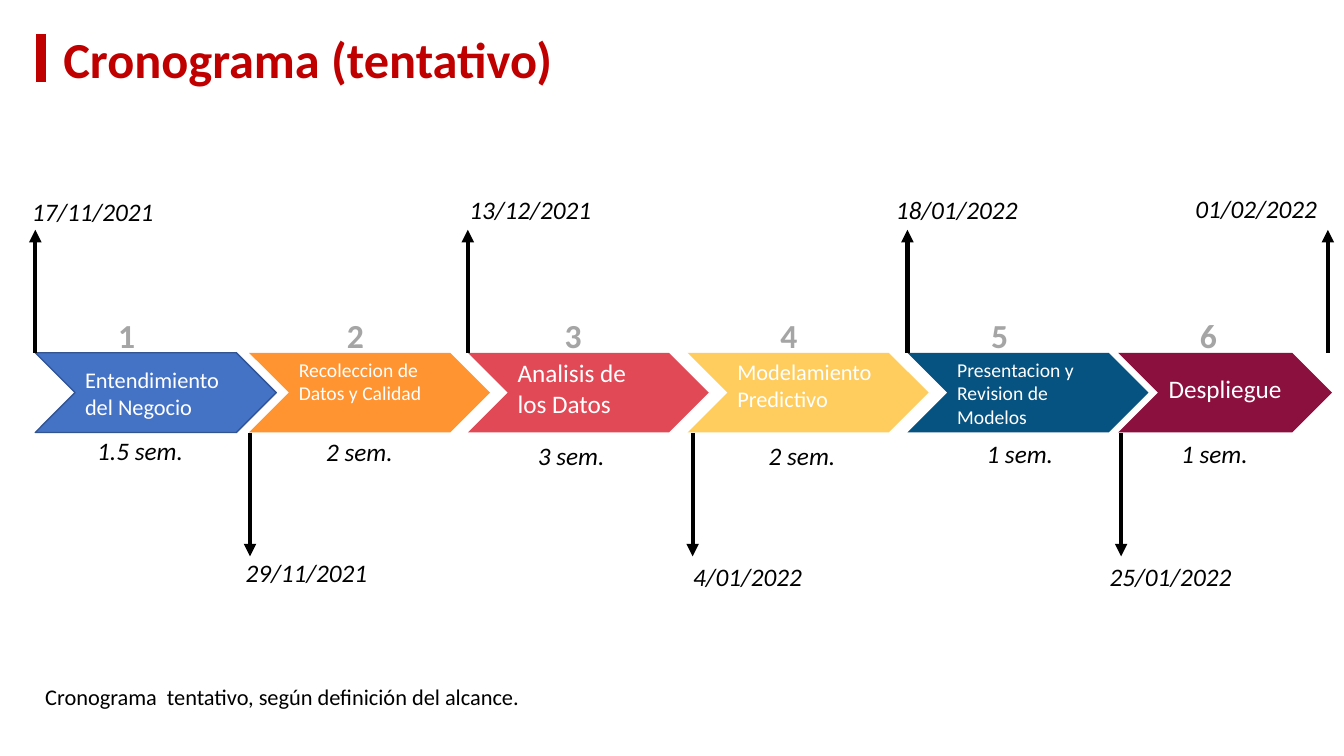
from lxml.etree import SubElement
from pptx import Presentation
from pptx.dml.color import RGBColor
from pptx.enum.shapes import MSO_CONNECTOR, MSO_SHAPE
from pptx.enum.text import MSO_ANCHOR, PP_ALIGN
from pptx.oxml.ns import qn
from pptx.util import Inches, Pt

RED = RGBColor(0xC0, 0x00, 0x00)
WHITE = RGBColor(0xFF, 0xFF, 0xFF)
BLACK = RGBColor(0x00, 0x00, 0x00)
GRAY = RGBColor(0xA5, 0xA5, 0xA5)
BLUE = RGBColor(0x44, 0x72, 0xC4)
BLUE_EDGE = RGBColor(0x32, 0x54, 0x91)
ORANGE = RGBColor(0xFF, 0x94, 0x30)
CORAL = RGBColor(0xE2, 0x49, 0x56)
YELLOW = RGBColor(0xFF, 0xCC, 0x5E)
NAVY = RGBColor(0x06, 0x52, 0x80)
WINE = RGBColor(0x8C, 0x10, 0x3D)

FONT = "Calibri"
BAND_TOP, BAND_HEIGHT = 3.5, 0.79
BAND_BOTTOM = 4.3
ARROW_LENGTH = 1.22
LEFT, CENTER, JUSTIFY = PP_ALIGN.LEFT, PP_ALIGN.CENTER, PP_ALIGN.JUSTIFY
TOP, MIDDLE = MSO_ANCHOR.TOP, MSO_ANCHOR.MIDDLE

# Chevron: left, width, fill, edge, text, size, alignment, anchor, line spacing
STAGES = [
    (0.35, 2.39, BLUE, BLUE_EDGE, "Entendimiento del Negocio", 16, JUSTIFY, MIDDLE, 1),
    (2.47, 2.39, ORANGE, None, "Recoleccion de Datos y Calidad", 14, LEFT, TOP, 1),
    (4.64, 2.39, CORAL, None, "Analisis de los Datos", 18, LEFT, TOP, 1),
    (6.82, 2.39, YELLOW, None, "Modelamiento Predictivo", 16, JUSTIFY, TOP, 1),
    (9, 2.39, NAVY, None, "Presentacion y Revision de Modelos", 14, LEFT, TOP, 1),
    (11.09, 2.12, WINE, None, "Despliegue", 18, CENTER, TOP, 1.5),
]
NUMBER_LEFTS = [1, 3.27, 5.43, 7.57, 9.66, 11.73]

# Duration: left, top, width, text
DURATIONS = [
    (0.86, 4.27, 1.06, "1.5 sem."),
    (3.13, 4.28, 0.87, "2 sem."),
    (5.23, 4.32, 0.87, "3 sem."),
    (7.52, 4.32, 0.87, "2 sem."),
    (9.68, 4.3, 0.87, "1 sem."),
    (11.61, 4.3, 0.87, "1 sem."),
]

# Milestone: arrow position, points up, date left, date top, date width, date
MILESTONES = [
    (0.35, True, 0.21, 1.9, 1.42, "17/11/2021"),
    (2.48, False, 2.33, 5.48, 1.42, "29/11/2021"),
    (4.64, True, 4.55, 1.88, 1.42, "13/12/2021"),
    (6.87, False, 6.77, 5.52, 1.29, "4/01/2022"),
    (9, True, 8.78, 1.88, 1.42, "18/01/2022"),
    (11.12, False, 10.9, 5.52, 1.42, "25/01/2022"),
    (13.17, True, 11.75, 1.87, 1.42, "01/02/2022"),
]


def write_text(shape, text, size, color, alignment=LEFT, anchor=TOP,
               bold=False, italic=False, wrap=True, spacing=1):
    frame = shape.text_frame
    frame.word_wrap = wrap
    frame.vertical_anchor = anchor
    paragraph = frame.paragraphs[0]
    paragraph.text = text
    paragraph.alignment = alignment
    paragraph.line_spacing = spacing
    font = paragraph.font
    font.name, font.size = FONT, Pt(size)
    font.bold, font.italic = bold, italic
    font.color.rgb = color


def add_label(slide, left, top, width, height, text, size, color, **style):
    box = slide.shapes.add_textbox(
        Inches(left), Inches(top), Inches(width), Inches(height))
    write_text(box, text, size, color, **style)


def add_block(slide, kind, left, top, width, height, fill, edge=None):
    shape = slide.shapes.add_shape(
        kind, Inches(left), Inches(top), Inches(width), Inches(height))
    shape.shadow.inherit = False
    shape.fill.solid()
    shape.fill.fore_color.rgb = fill
    if edge is None:
        shape.line.fill.background()
    else:
        shape.line.color.rgb = edge
        shape.line.width = Pt(1)
    return shape


def add_arrow(slide, x, start, end):
    arrow = slide.shapes.add_connector(
        MSO_CONNECTOR.STRAIGHT, Inches(x), Inches(start), Inches(x), Inches(end))
    arrow.line.color.rgb = BLACK
    arrow.line.width = Pt(3)
    SubElement(arrow.line._get_or_add_ln(), qn("a:tailEnd"), type="triangle")
    SubElement(arrow._element.spPr, qn("a:effectLst"))


def add_milestone(slide, x, points_up, left, top, width, date):
    if points_up:
        add_arrow(slide, x, BAND_TOP, BAND_TOP - ARROW_LENGTH)
    else:
        add_arrow(slide, x, BAND_BOTTOM, BAND_BOTTOM + ARROW_LENGTH)
    add_label(slide, left, top, width, 0.4, date, 18, BLACK,
              alignment=CENTER, italic=True, wrap=False)


def main():
    presentation = Presentation()
    presentation.slide_width = Inches(13.33)
    presentation.slide_height = Inches(7.5)
    slide = presentation.slides.add_slide(presentation.slide_layouts[6])

    # Title with its red bar
    add_label(slide, 0.53, 0.22, 12.43, 0.71, "Cronograma (tentativo)", 36, RED,
              anchor=MIDDLE, bold=True)
    add_block(slide, MSO_SHAPE.RECTANGLE, 0.35, 0.33, 0.11, 0.49, RED, WHITE)

    # Chevron band
    for left, width, fill, edge, text, size, alignment, anchor, spacing in STAGES:
        chevron = add_block(slide, MSO_SHAPE.CHEVRON, left, BAND_TOP, width,
                            BAND_HEIGHT, fill, edge)
        write_text(chevron, text, size, WHITE, alignment, anchor, spacing=spacing)

    # Dates with arrows
    for milestone in MILESTONES:
        add_milestone(slide, *milestone)

    # Stage numbers above the band
    for number, left in enumerate(NUMBER_LEFTS, start=1):
        add_label(slide, left, 3.08, 0.51, 0.5, str(number), 24, GRAY,
                  alignment=CENTER, bold=True)

    # Durations below the band
    for left, top, width, duration in DURATIONS:
        add_label(slide, left, top, width, 0.4, duration, 18, BLACK,
                  alignment=CENTER, italic=True, wrap=False)

    # Footnote
    add_label(slide, 0.35, 6.73, 5.75, 0.37,
              "Cronograma  tentativo, según definición del alcance.", 16, BLACK)

    presentation.save("out.pptx")


if __name__ == "__main__":
    main()
